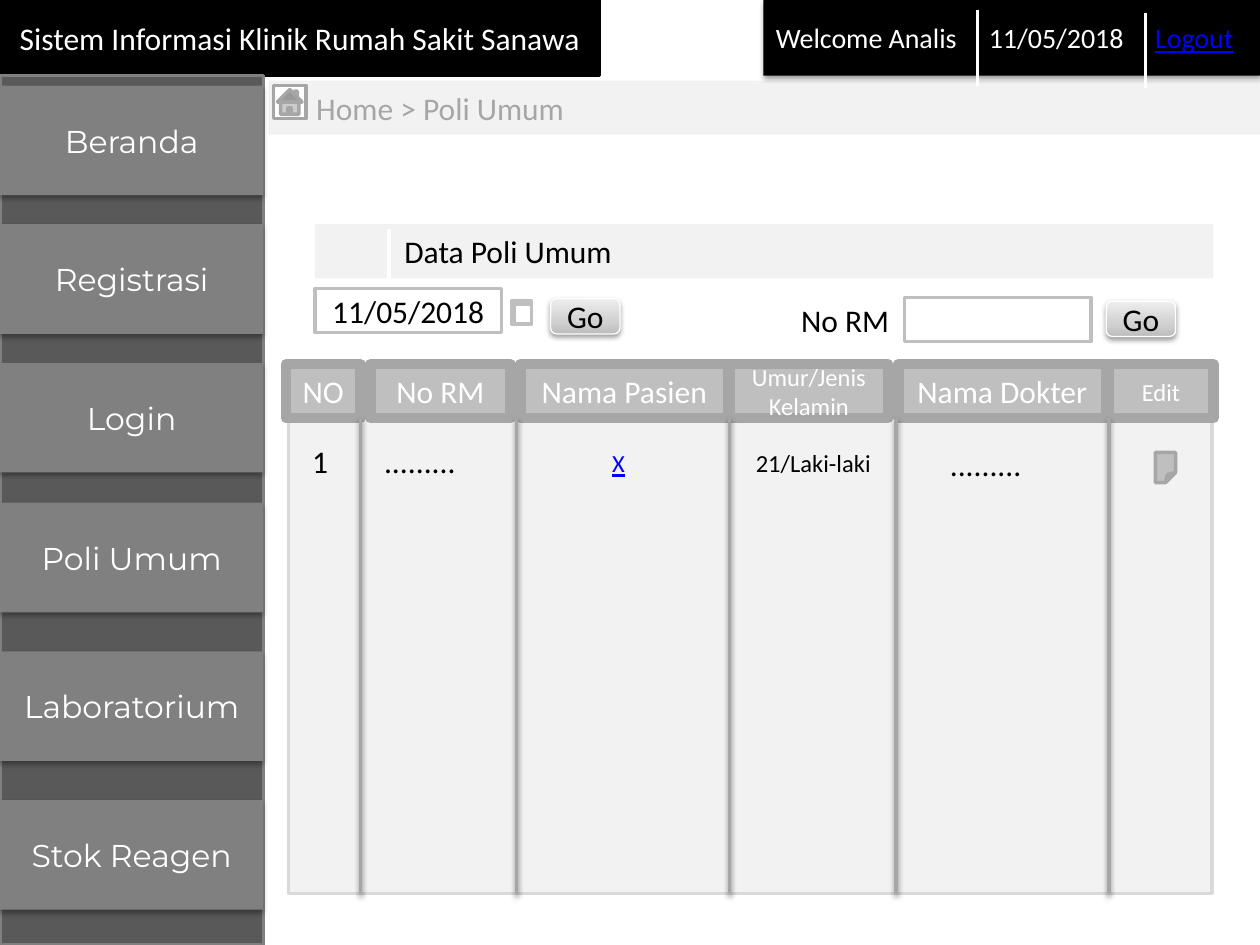
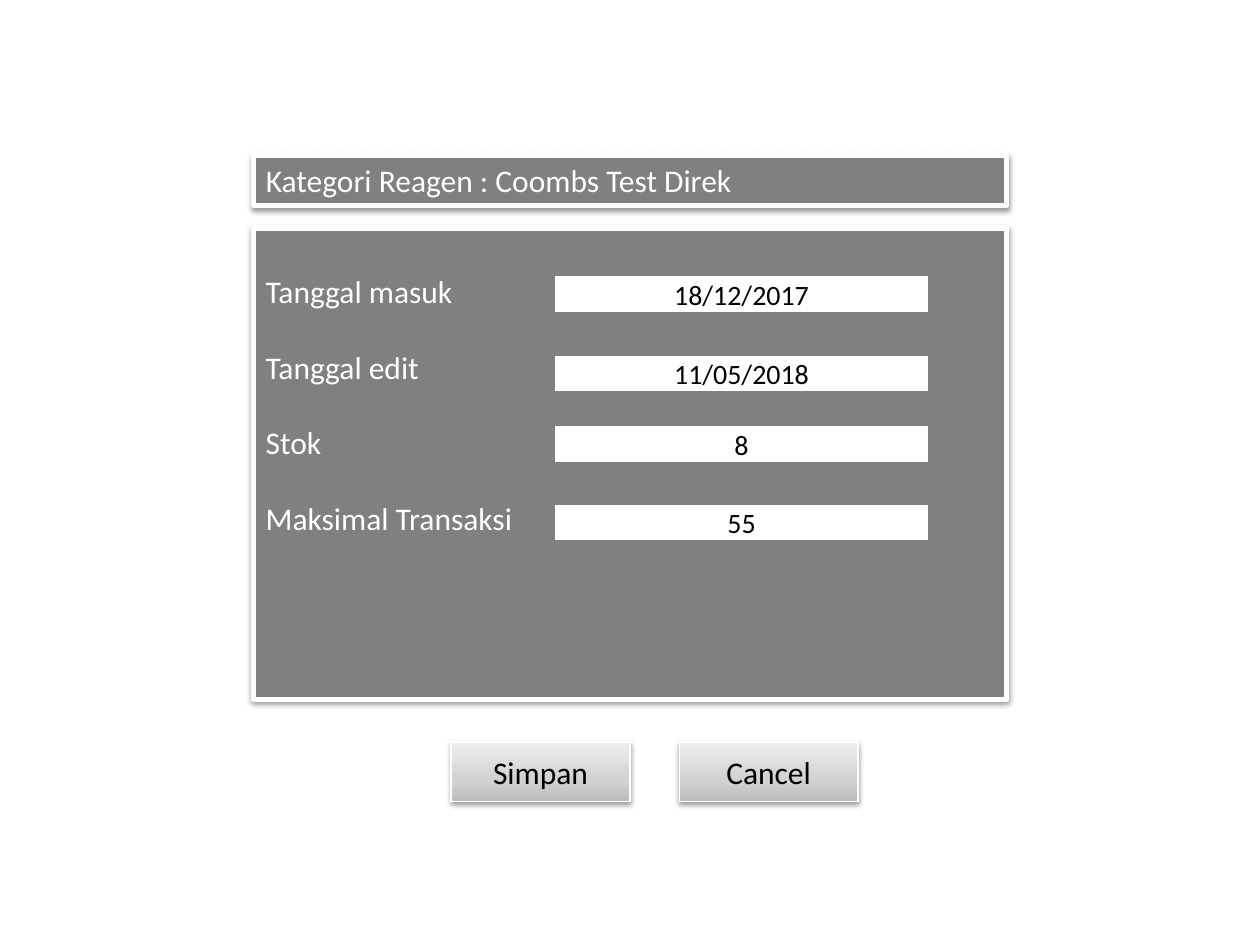
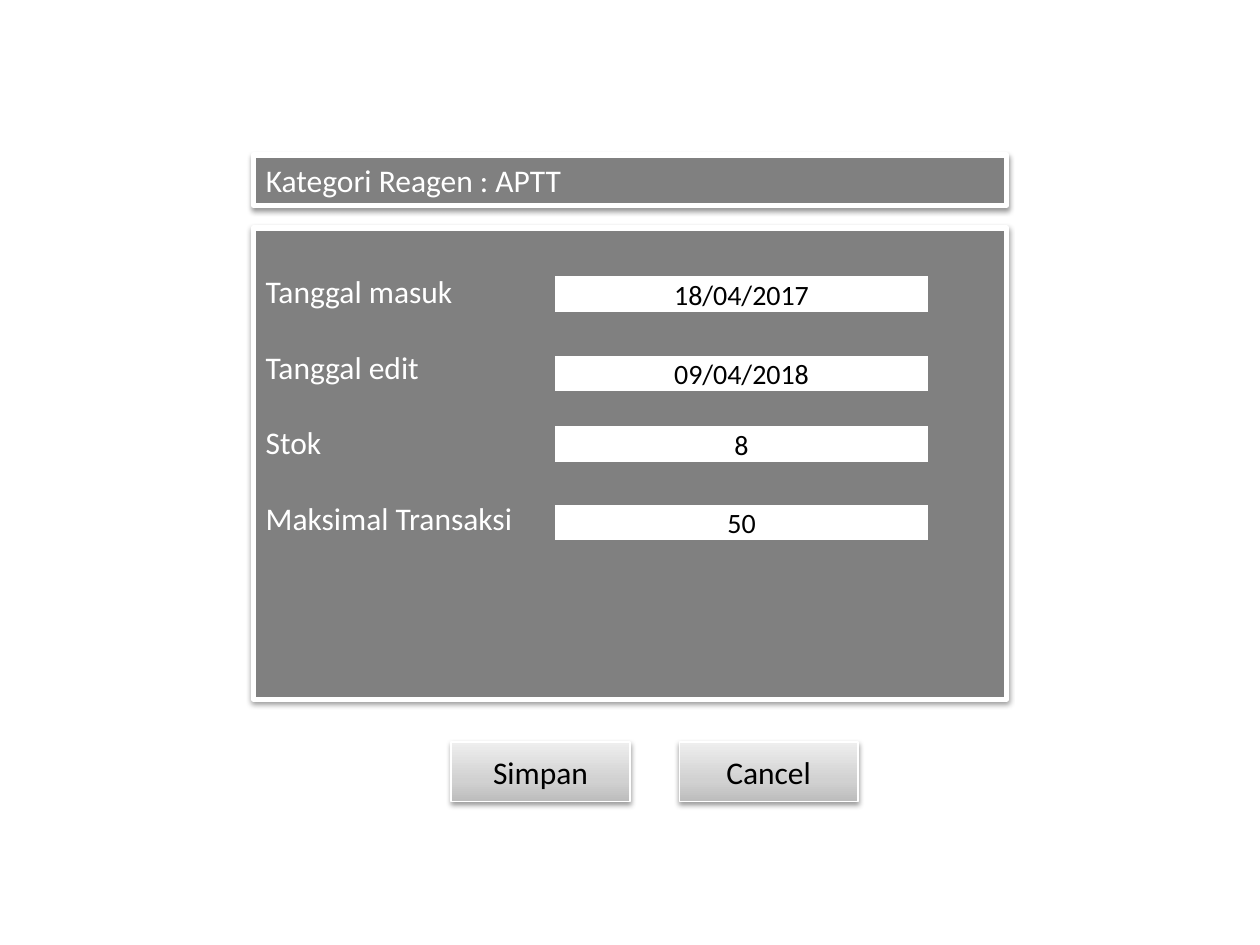
from dataclasses import dataclass

from lxml import etree
from pptx import Presentation
from pptx.dml.color import RGBColor
from pptx.enum.shapes import MSO_CONNECTOR, MSO_SHAPE
from pptx.enum.text import MSO_ANCHOR, MSO_AUTO_SIZE, PP_ALIGN
from pptx.oxml.ns import qn
from pptx.util import Inches, Pt

RECT, ROUND = MSO_SHAPE.RECTANGLE, MSO_SHAPE.ROUNDED_RECTANGLE
LEFT, CENTER = PP_ALIGN.LEFT, PP_ALIGN.CENTER
TOP, MIDDLE = MSO_ANCHOR.TOP, MSO_ANCHOR.MIDDLE


@dataclass(frozen=True)
class Theme:
    font: str = "Calibri"
    menu_font: str = "Montserrat"
    white: str = "FFFFFF"
    black: str = "000000"
    link: str = "0000FF"
    pale: str = "F2F2F2"
    frame: str = "D9D9D9"
    silver: str = "BFBFBF"
    grey: str = "A6A6A6"
    panel: str = "808080"
    sidebar: str = "595959"
    body: int = 18
    medium: int = 16
    small: int = 14
    button: tuple = ((0, "BDBDBD"), (35, "D1D1D1"), (100, "EEEEEE"))
    shadow: tuple = (38, 3.1, 1.6)       # opacity %, blur pt, distance pt
    menu_shadow: tuple = (35, 3.1, 1.8)


T = Theme()

# Patient list
APP_TITLE = "Sistem Informasi Klinik Rumah Sakit Sanawa"
SESSION = ("Welcome Analis", "11/05/2018", "Logout")
SESSION_TABS = (1.69, 3.01)
SESSION_DIVIDERS = ((7.76, 0.08), (9.09, 0.1))
MENU = [("Beranda", 0.68), ("Registrasi", 1.78), ("Login", 2.88),
        ("Poli Umum", 3.99), ("Laboratorium", 5.17), ("Stok Reagen", 6.35)]
BREADCRUMB, LIST_TITLE = "Home > Poli Umum", "Data Poli Umum"
LIST_DATE, SEARCH_LABEL = "11/05/2018", "No RM"
GO_BUTTONS = [(4.37, 2.37), (8.78, 2.39)]
# heading, left, width, heading size
COLUMNS = [("NO", 2.27, 0.59, T.body), ("No RM", 2.94, 1.11, T.body),
           ("Nama Pasien", 4.13, 1.65, T.body),
           ("Umur/Jenis Kelamin", 5.79, 1.26, T.small),
           ("Nama Dokter", 7.13, 1.65, T.body), ("Edit", 8.8, 0.83, T.small)]
COLUMN_RULES = (2.86, 4.1, 5.79, 7.11, 8.8)
HEAD_TOP, HEAD_H, LIST_BOTTOM = 2.89, 0.43, 7.09
# value, left, top, width, size, colour
PATIENT = [("1", 2.38, 3.46, 0.33, T.body, T.black),
           (".........", 2.95, 3.46, 1.03, T.body, T.black),
           ("X", 4.76, 3.51, 0.31, T.small, T.link),
           ("21/Laki-laki", 5.9, 3.51, 1.21, T.small, T.black),
           (".........", 7.44, 3.48, 1.03, T.body, T.black)]

# Reagent forms
FIELDS = [("Tanggal masuk", 2.18), ("Tanggal edit", 2.81),
          ("Stok", 3.37), ("Maksimal Transaksi", 3.99)]
FORMS = [("Kategori Reagen : Coombs Test Direk", ("18/12/2017", "11/05/2018", "8", "55")),
         ("Kategori Reagen : APTT", ("18/04/2017", "09/04/2018", "8", "50"))]
FORM_LEFT, FORM_W = 2.01, 5.98
ACTIONS = ("Simpan", "Cancel")


def rgb(value):
    return RGBColor.from_string(value)


def set_shadow(sp, shadow):
    """Give a shape or connector a downward shadow, or an empty effect list."""
    effects = etree.SubElement(sp._element.spPr, qn("a:effectLst"))
    if shadow:
        alpha, blur, dist = shadow
        outer = etree.SubElement(effects, qn("a:outerShdw"), blurRad=str(Pt(blur)),
                                 dist=str(Pt(dist)), dir="5400000", rotWithShape="0")
        color = etree.SubElement(outer, qn("a:srgbClr"), val=T.black)
        etree.SubElement(color, qn("a:alpha"), val=str(alpha * 1000))


def set_gradient(sp, stops):
    sp.fill.gradient()
    sp.fill.gradient_angle = 90
    stop_list = sp._element.spPr.find(".//" + qn("a:gsLst"))
    stop_list.clear()
    for pos, color in stops:
        gs = etree.SubElement(stop_list, qn("a:gs"), pos=str(pos * 1000))
        etree.SubElement(gs, qn("a:srgbClr"), val=color)


def style(sp, fill=None, line=None, width=2.0, shadow=None):
    """Paint a shape; fill is a colour, a tuple of gradient stops or None."""
    if isinstance(fill, tuple):
        set_gradient(sp, fill)
    elif fill:
        sp.fill.solid()
        sp.fill.fore_color.rgb = rgb(fill)
    else:
        sp.fill.background()
    if line:
        sp.line.color.rgb = rgb(line)
        sp.line.width = Pt(width)
    else:
        sp.line.fill.background()
    set_shadow(sp, shadow)


def write(sp, *lines, size=T.body, color=T.white, font=T.font, align=CENTER,
          anchor=MIDDLE, inset=0.1):
    tf = sp.text_frame
    tf.word_wrap, tf.auto_size = True, MSO_AUTO_SIZE.NONE
    tf.vertical_anchor, tf.margin_left = anchor, Inches(inset)
    for i, line in enumerate(lines):
        p = tf.add_paragraph() if i else tf.paragraphs[0]
        p.add_run().text = line
        p.alignment = align
        p.font.name, p.font.size = font, Pt(size)
        p.font.color.rgb = rgb(color)
    return tf


def box(s, x, y, w, h, kind=RECT, **look):
    sp = s.shapes.add_shape(kind, Inches(x), Inches(y), Inches(w), Inches(h))
    style(sp, **look)
    return sp


def button(s, x, y, w, h, label, kind=RECT):
    sp = box(s, x, y, w, h, kind, fill=T.button, line=T.white, width=0.75, shadow=T.shadow)
    write(sp, label, color=T.black)


def vertical_rule(s, x, top, bottom, color, width, shadow=None):
    ln = s.shapes.add_connector(MSO_CONNECTOR.STRAIGHT, Inches(x), Inches(top),
                                Inches(x), Inches(bottom))
    ln.line.color.rgb, ln.line.width = rgb(color), Pt(width)
    set_shadow(ln, shadow)


def titled_slide(prs, title, x, y, w, h, align, **look):
    """Add a slide whose title placeholder is a painted bar."""
    s = prs.slides.add_slide(prs.slide_layouts[5])
    sp = s.shapes.title
    sp.left, sp.top, sp.width, sp.height = map(Inches, (x, y, w, h))
    style(sp, **look)
    write(sp, title, align=align)
    return s


def add_session_bar(s):
    sp = box(s, 6.06, 0, 3.94, 0.6, fill=T.black, shadow=T.shadow)
    user, date, logout = SESSION
    p = write(sp, f"{user}\t{date}\t", size=T.medium, align=LEFT).paragraphs[0]
    tabs = etree.Element(qn("a:tabLst"))
    for pos in SESSION_TABS:
        etree.SubElement(tabs, qn("a:tab"), pos=str(Inches(pos)), algn="l")
    p._p.pPr.find(qn("a:defRPr")).addprevious(tabs)
    r = p.add_run()
    r.text = logout
    r.font.color.rgb, r.font.underline = rgb(T.link), True
    for x, top in SESSION_DIVIDERS:
        vertical_rule(s, x, top, top + 0.6, T.white, 1.5)


def add_sidebar(s):
    box(s, 0, 0.6, 2.09, 6.9, fill=T.sidebar, line=T.panel)
    for label, top in MENU:
        sp = box(s, 0, top, 2.09, 0.87, fill=T.panel, shadow=T.menu_shadow)
        write(sp, label, font=T.menu_font)


def add_filters(s):
    write(box(s, 2.5, 2.29, 1.48, 0.35, fill=T.white, line=T.silver),
          LIST_DATE, color=T.black)
    box(s, 4.06, 2.39, 0.16, 0.18, MSO_SHAPE.FLOWCHART_INTERNAL_STORAGE,
        fill=T.white, line=T.silver)
    write(box(s, 6.26, 2.34, 0.94, 0.4, line=T.white, width=0.75),
          SEARCH_LABEL, color=T.black, align=LEFT, anchor=TOP)
    box(s, 7.18, 2.36, 1.48, 0.35, fill=T.white, line=T.silver)
    for x, y in GO_BUTTONS:
        button(s, x, y, 0.55, 0.28, "Go", ROUND)


def add_edit_icon(s):
    note = box(s, 9.17, 3.59, 0.16, 0.24, MSO_SHAPE.FOLDED_CORNER,
               fill=T.silver, line=T.grey)
    guides = note._element.spPr.find(".//" + qn("a:avLst"))
    etree.SubElement(guides, qn("a:gd"), name="adj", fmla="val 50000")


def add_patient_list(s):
    box(s, 2.29, HEAD_TOP, 7.33, LIST_BOTTOM - HEAD_TOP, fill=T.pale, line=T.frame)
    for heading, x, w, size in COLUMNS:
        sp = box(s, x, HEAD_TOP, w, HEAD_H, fill=T.silver, line=T.grey, width=6)
        write(sp, heading, size=size)
    for x in COLUMN_RULES:
        vertical_rule(s, x, HEAD_TOP + HEAD_H, LIST_BOTTOM, T.grey, 2, T.shadow)
    add_edit_icon(s)
    for value, x, y, w, size, color in PATIENT:
        sp = s.shapes.add_textbox(Inches(x), Inches(y), Inches(w), Inches(0.4))
        tf = write(sp, value, size=size, color=color, align=LEFT, anchor=TOP)
        if color == T.link:
            tf.paragraphs[0].font.underline = True


def add_list_slide(prs):
    s = titled_slide(prs, APP_TITLE, 0, 0, 4.76, 0.6, CENTER, fill=T.black, line=T.black)
    add_sidebar(s)
    write(box(s, 2.13, 0.64, 7.87, 0.43, fill=T.pale), BREADCRUMB,
          color=T.grey, align=LEFT, inset=0.38)
    write(box(s, 2.5, 1.78, 7.13, 0.43, fill=T.pale), LIST_TITLE,
          color=T.black, align=LEFT, inset=0.71)
    vertical_rule(s, 3.09, 1.82, 2.29, T.white, 2.25)
    box(s, 2.17, 0.68, 0.26, 0.26, MSO_SHAPE.ACTION_BUTTON_HOME, fill=T.white, line=T.grey)
    add_filters(s)
    add_patient_list(s)
    add_session_bar(s)


def add_form_slide(prs, title, values):
    panel = dict(fill=T.panel, line=T.white, width=3, shadow=T.shadow)
    s = titled_slide(prs, title, FORM_LEFT, 1.23, FORM_W, 0.4, LEFT, **panel)
    sp = box(s, FORM_LEFT, 1.81, FORM_W, 3.74, **panel)
    tf = write(sp, *(label for label, _ in FIELDS), align=LEFT, anchor=TOP)
    tf.margin_top = Inches(0.35)
    for p in tf.paragraphs:
        p.space_after = Pt(21.6)
    for (_, top), value in zip(FIELDS, values):
        write(box(s, 4.39, top, 2.99, 0.31, fill=T.white, line=T.panel),
              value, size=T.medium, color=T.black)
    for i, label in enumerate(ACTIONS):
        button(s, 3.58 + i * 1.81, 5.89, 1.42, 0.47, label)


def main():
    prs = Presentation()
    prs.slide_width, prs.slide_height = Inches(10), Inches(7.5)
    add_list_slide(prs)
    for title, values in FORMS:
        add_form_slide(prs, title, values)
    prs.save("out.pptx")


if __name__ == "__main__":
    main()
